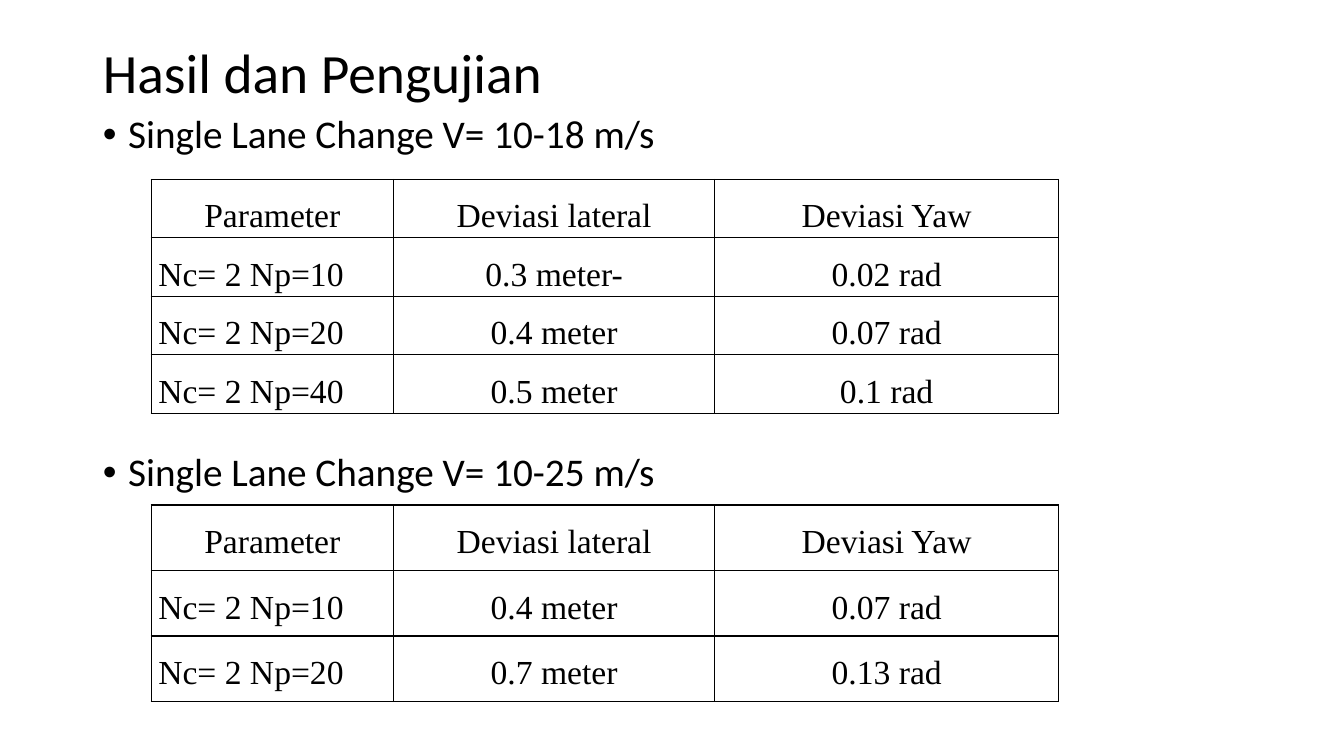
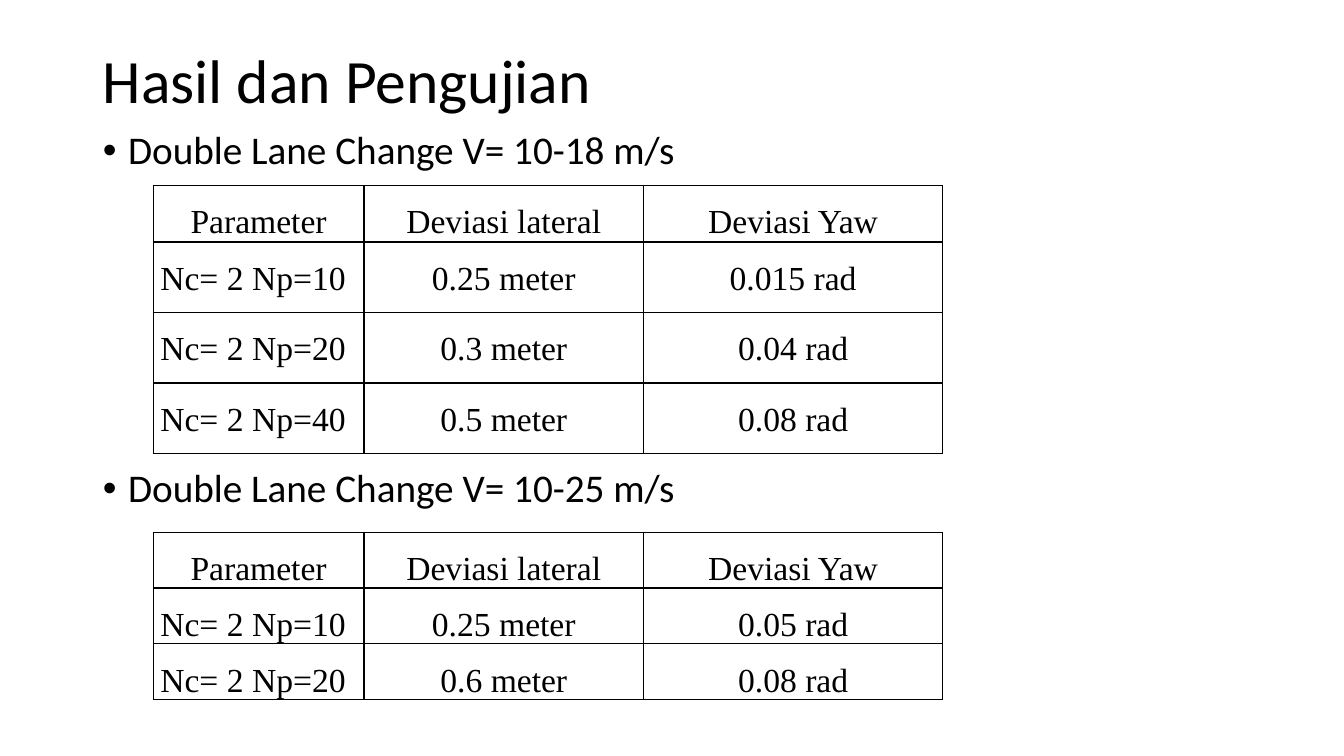
from lxml import etree
from pptx import Presentation
from pptx import util as u
from pptx.dml.color import RGBColor
from pptx.enum import text as t
from pptx.oxml.ns import qn

BLACK = RGBColor(0x00, 0x00, 0x00)
TEXT_FONT, TABLE_FONT = "Calibri", "Times New Roman"
LEFT, TITLE_TOP = 0.92, 0.4
BULLET_GAP = 211  # points between the two bullets
COLUMN_SHARES = (0.267, 0.354, 0.379)
TITLE = "Hasil dan Pengujian"
HEADER = ("Parameter", "Deviasi lateral", "Deviasi Yaw")

# Content: each table has its top, its row heights and its data rows
SLIDES = [
    {
        "title_size": 39.6, "title_height": 0.69, "body_size": (11.5, 5.67),
        "bullets": ("Single Lane Change V= 10-18 m/s", "Single Lane Change V= 10-25 m/s"),
        "table_left": 1.5, "table_width": 9,
        "tables": [
            (1.78, [0.58] * 4, [
                ("Nc= 2 Np=10", "0.3 meter-", "0.02 rad"),
                ("Nc= 2 Np=20", "0.4 meter", "0.07 rad"),
                ("Nc= 2 Np=40", "0.5 meter", "0.1 rad")]),
            (5.01, [0.65] * 3, [
                ("Nc= 2 Np=10", "0.4 meter", "0.07 rad"),
                ("Nc= 2 Np=20", "0.7 meter", "0.13 rad")]),
        ],
    },
    {
        "title_size": 44, "title_height": 0.85, "body_size": (12.02, 6.25),
        "bullets": ("Double Lane Change V= 10-18 m/s", "Double Lane Change V= 10-25 m/s"),
        "table_left": 1.52, "table_width": 7.83,
        "tables": [
            (1.84, [0.56] + [0.7] * 3, [
                ("Nc= 2 Np=10", "0.25 meter", "0.015 rad"),
                ("Nc= 2 Np=20", "0.3 meter", "0.04 rad"),
                ("Nc= 2 Np=40", "0.5 meter", "0.08 rad")]),
            (5.28, [0.55] * 3, [
                ("Nc= 2 Np=10", "0.25 meter", "0.05 rad"),
                ("Nc= 2 Np=20", "0.6 meter", "0.08 rad")]),
        ],
    },
]


def write(para, words, size, font, align, spacing, before=0):
    para.alignment, para.line_spacing = align, spacing
    para.space_before = u.Pt(before)
    span = para.add_run()
    span.text = words
    span.font.size, span.font.name = u.Pt(size), font
    span.font.color.rgb = BLACK


def place(box, left, top, width, height, anchor):
    box.left, box.top = u.Inches(left), u.Inches(top)
    box.width, box.height = u.Inches(width), u.Inches(height)
    frame = box.text_frame
    frame.word_wrap, frame.auto_size = True, t.MSO_AUTO_SIZE.NONE
    frame.vertical_anchor = anchor
    return frame


def add_bullets(frame, bullets):
    for index, words in enumerate(bullets):
        para = frame.add_paragraph() if index else frame.paragraphs[0]
        props = para._p.get_or_add_pPr()
        props.set("marL", str(u.Inches(0.25)))
        props.set("indent", str(u.Inches(-0.25)))
        etree.SubElement(props, qn("a:buChar")).set("char", "•")
        write(para, words, 28, TEXT_FONT, t.PP_ALIGN.LEFT, 0.9, BULLET_GAP if index else 0)


def style_cell(cell):
    cell.margin_left = cell.margin_right = u.Inches(0.07)
    cell.margin_top = cell.margin_bottom = 0
    props = cell._tc.get_or_add_tcPr()
    for side in ("lnL", "lnR", "lnT", "lnB"):
        line = etree.SubElement(props, qn("a:" + side), w=str(u.Pt(1)))
        fill = etree.SubElement(line, qn("a:solidFill"))
        etree.SubElement(fill, qn("a:srgbClr"), val=str(BLACK))
    cell.fill.background()


def add_results(page, left, width, top, heights, data):
    rows = [HEADER] + data
    table = page.shapes.add_table(len(rows), len(HEADER), u.Inches(left), u.Inches(top),
                                  u.Inches(width), u.Inches(sum(heights))).table
    table.first_row = table.horz_banding = False
    for column, share in zip(table.columns, COLUMN_SHARES):
        column.width = u.Inches(width * share)
    for r, (height, row) in enumerate(zip(heights, rows)):
        table.rows[r].height = u.Inches(height)
        for c, words in enumerate(row):
            cell = table.cell(r, c)
            style_cell(cell)
            align = t.PP_ALIGN.JUSTIFY if r and not c else t.PP_ALIGN.CENTER
            write(cell.text_frame.paragraphs[0], words, 24, TABLE_FONT, align, 1.5)


def main():
    deck = Presentation()
    deck.slide_width, deck.slide_height = u.Inches(13.33), u.Inches(7.5)
    for item in SLIDES:
        page = deck.slides.add_slide(deck.slide_layouts[1])
        # Title and bullets
        title = place(page.shapes.title, LEFT, TITLE_TOP, 11.5, item["title_height"],
                      t.MSO_ANCHOR.MIDDLE)
        write(title.paragraphs[0], TITLE, item["title_size"], TEXT_FONT, t.PP_ALIGN.LEFT, 0.9)
        body = place(page.placeholders[1], LEFT, TITLE_TOP + item["title_height"],
                     *item["body_size"], t.MSO_ANCHOR.TOP)
        add_bullets(body, item["bullets"])
        # Result tables
        for top, heights, data in item["tables"]:
            add_results(page, item["table_left"], item["table_width"], top, heights, data)
    deck.save("out.pptx")


if __name__ == "__main__":
    main()
